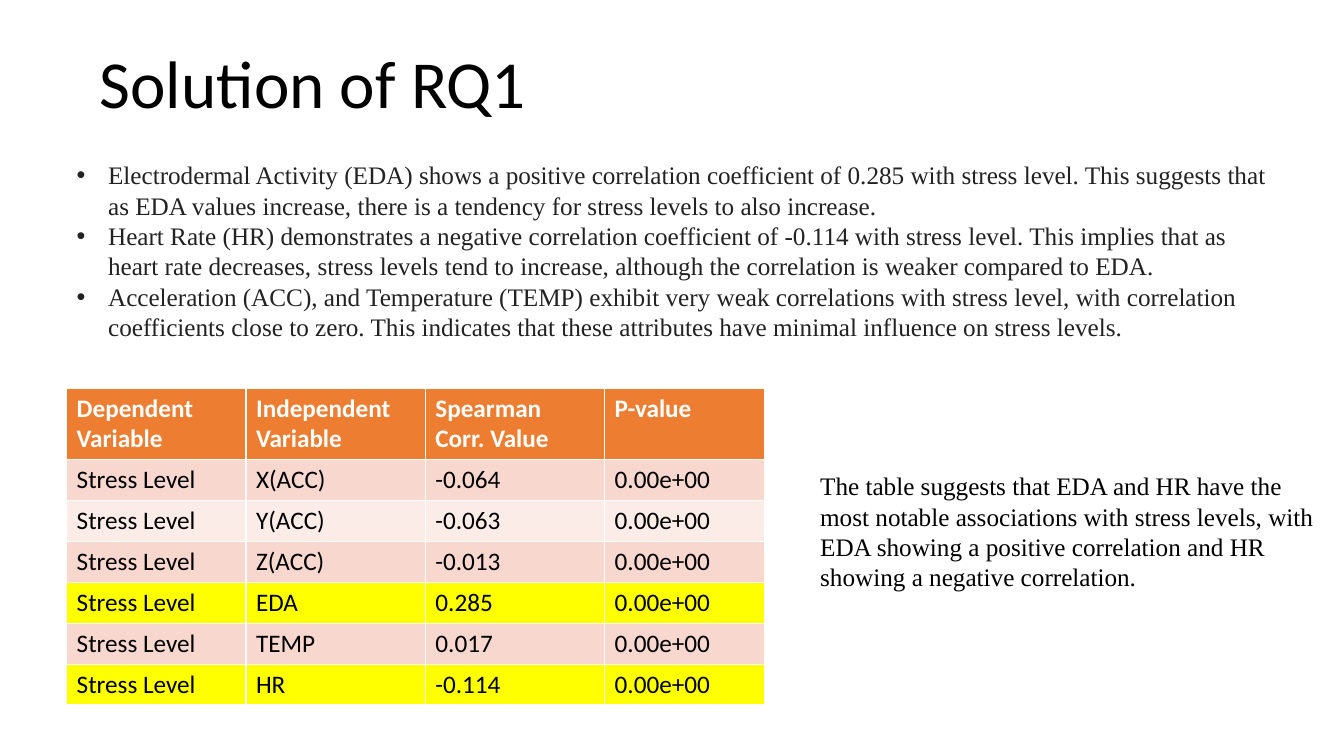
from pptx import Presentation
from pptx.dml.color import RGBColor
from pptx.enum.text import MSO_ANCHOR, MSO_AUTO_SIZE, PP_ALIGN
from pptx.util import Cm, Pt

TITLE = "Solution of RQ1"
FINDINGS = [
    "Electrodermal Activity (EDA) shows a positive correlation coefficient of 0.285 with stress level. "
    "This suggests that as EDA values increase, there is a tendency for stress levels to also increase.",
    "Heart Rate (HR) demonstrates a negative correlation coefficient of -0.114 with stress level. "
    "This implies that as heart rate decreases, stress levels tend to increase, "
    "although the correlation is weaker compared to EDA.",
    "Acceleration (ACC), and Temperature (TEMP) exhibit very weak correlations with stress level, "
    "with correlation coefficients close to zero. "
    "This indicates that these attributes have minimal influence on stress levels.",
]
HEADER = ("Dependent Variable", "Independent Variable", "Spearman Corr. Value", "P-value")
CORRELATIONS = [
    ("X(ACC)", "-0.064"),
    ("Y(ACC)", "-0.063"),
    ("Z(ACC)", "-0.013"),
    ("EDA", "0.285"),
    ("TEMP", "0.017"),
    ("HR", "-0.114"),
]
NOTABLE = ("EDA", "HR")
CONCLUSION = (
    "The table suggests that EDA and HR have the most notable associations with stress levels, "
    "with EDA showing a positive correlation and HR showing a negative correlation."
)

COLORS = {
    "black": "000000", "white": "FFFFFF", "body": "222222", "header": "ED7D31",
    "odd": "F8D7CE", "even": "FCECE8", "notable": "FFFF00",
}
FORMATS = {
    "title": {"name": "Calibri", "size": Pt(48), "color": "black"},
    "body": {"name": "Times New Roman", "size": Pt(18), "color": "body"},
    "note": {"name": "Times New Roman", "size": Pt(18), "color": "black"},
    "header": {"name": "Calibri", "size": Pt(18), "bold": True, "color": "white"},
    "cell": {"name": "Calibri", "size": Pt(18), "bold": False, "color": "black"},
}
BOXES = {
    "title": (2.26, 0.91, 24.69, 2.31),
    "body": (1.68, 3.89, 30.66, 4.88),
    "table": (1.68, 9.78, 17.58, 7.95),
    "note": (20.42, 11.73, 13.06, 3.33),
}
COL_WIDTHS = (4.52, 4.52, 4.52, 4.03)
HEADER_HEIGHT, ROW_HEIGHT = 1.78, 1.03
INDENT = Cm(0.79)


def rgb(key):
    return RGBColor.from_string(COLORS[key])


def write(p, text, style):
    r = p.add_run()
    r.text = text
    for key, value in FORMATS[style].items():
        if key == "color":
            r.font.color.rgb = rgb(value)
        else:
            setattr(r.font, key, value)


def place(sp, box):
    for key, value in zip(("left", "top", "width", "height"), BOXES[box]):
        setattr(sp, key, Cm(value))
    tf = sp.text_frame
    tf.word_wrap = True
    tf.auto_size = MSO_AUTO_SIZE.NONE
    tf.vertical_anchor = MSO_ANCHOR.TOP
    return tf


def row_fill(i, variable):
    if variable in NOTABLE:
        return "notable"
    return "even" if i % 2 else "odd"


def add_correlation_table(slide):
    rows = [(HEADER, "header", "header")]
    for i, (variable, value) in enumerate(CORRELATIONS):
        texts = ("Stress Level", variable, value, "0.00e+00")
        rows.append((texts, row_fill(i, variable), "cell"))
    box = [Cm(v) for v in BOXES["table"]]
    table = slide.shapes.add_table(len(rows), len(HEADER), *box).table
    for col, width in zip(table.columns, COL_WIDTHS):
        col.width = Cm(width)
    for row, (texts, fill, style) in zip(table.rows, rows):
        row.height = Cm(HEADER_HEIGHT if style == "header" else ROW_HEIGHT)
        for cell, text in zip(row.cells, texts):
            cell.fill.solid()
            cell.fill.fore_color.rgb = rgb(fill)
            write(cell.text_frame.paragraphs[0], text, style)


def main():
    prs = Presentation()
    prs.slide_width, prs.slide_height = Cm(33.87), Cm(19.05)
    slide = prs.slides.add_slide(prs.slide_layouts[1])

    p = place(slide.shapes.title, "title").paragraphs[0]
    p.alignment = PP_ALIGN.LEFT
    write(p, TITLE, "title")

    add_correlation_table(slide)

    tf = place(slide.placeholders[1], "body")
    for i, finding in enumerate(FINDINGS):
        p = tf.add_paragraph() if i else tf.paragraphs[0]
        p.space_before = Pt(0)
        p.line_spacing = Pt(21.7)
        pPr = p._p.get_or_add_pPr()
        pPr.set("marL", str(INDENT))
        pPr.set("indent", str(-INDENT))
        write(p, finding, "body")

    sp = slide.shapes.add_textbox(0, 0, 0, 0)
    p = place(sp, "note").paragraphs[0]
    p.line_spacing = Pt(21.7)
    write(p, CONCLUSION, "note")

    prs.save("out.pptx")


if __name__ == "__main__":
    main()
